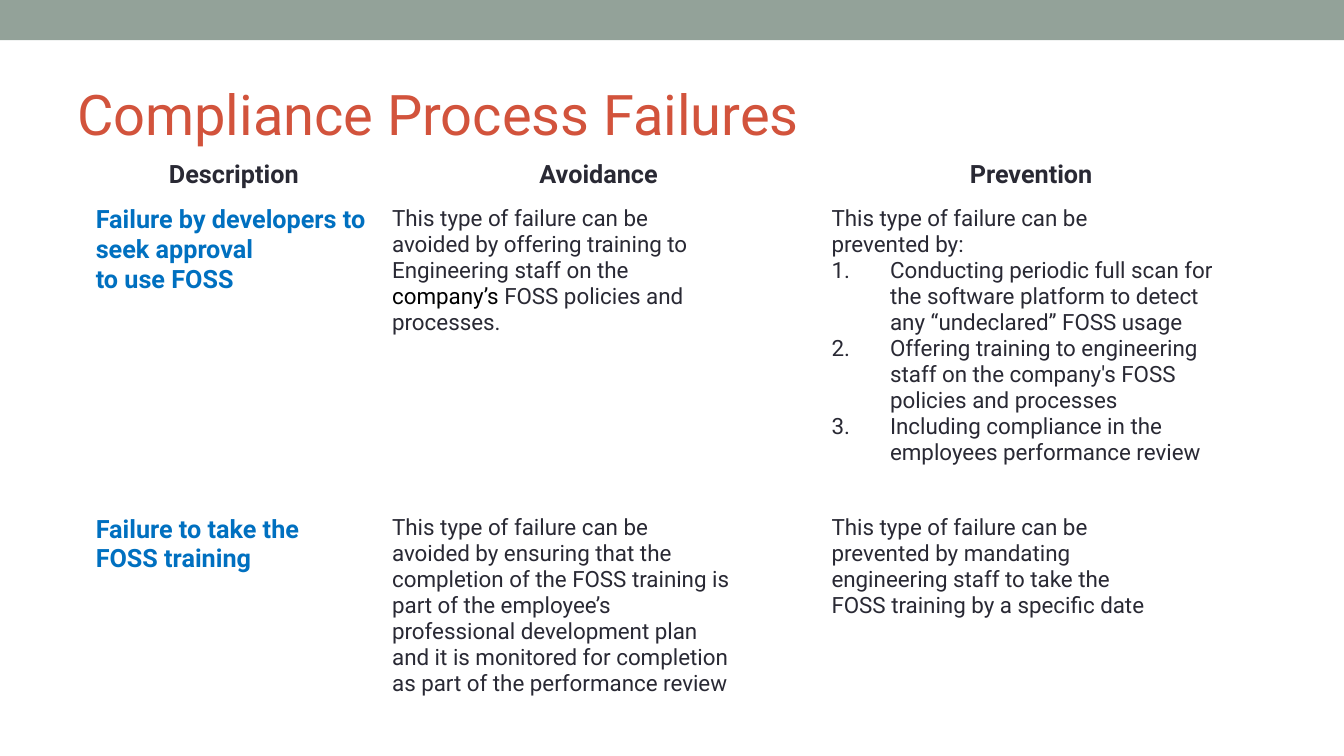
from lxml import etree
from pptx import Presentation
from pptx.dml.color import RGBColor
from pptx.enum.shapes import MSO_SHAPE
from pptx.enum.text import MSO_ANCHOR, PP_ALIGN
from pptx.oxml.ns import qn
from pptx.util import Pt

RECTANGLE = MSO_SHAPE.RECTANGLE
MIDDLE = MSO_ANCHOR.MIDDLE
CENTER = PP_ALIGN.CENTER

FONT = "Roboto"
WHITE, BLACK, INK = "FFFFFF", "000000", "292934"
SAGE, RUST, BLUE = "93A299", "D2533C", "0070C0"

COLUMN_WIDTHS = (211.7, 313.9, 299.5)
ROW_HEIGHTS = (32.4, 221, 157)
HANG, LIST_HANG = 27, 41.8

HEADINGS = ("Description", "Avoidance ", "Prevention")

# Each failure: description, avoidance, prevention, numbered prevention steps
FAILURES = (
    (
        ["Failure by developers to seek approval", "to use FOSS"],
        ["This type of failure can be", "avoided by offering training to",
         "Engineering staff on the",
         [("company’s ", BLACK), ("FOSS policies and", INK)], "processes."],
        ["This type of failure can be", "prevented by:"],
        ["Conducting periodic full scan for the software platform to detect "
         "any “undeclared” FOSS usage",
         "Offering training to engineering staff on the company's FOSS "
         "policies and processes",
         "Including compliance in the employees performance review"],
    ),
    (
        ["Failure to take the", "FOSS training"],
        ["This type of failure can be", "avoided by ensuring that the",
         "completion of the FOSS training is", "part of the employee’s",
         "professional development plan",
         "and it is monitored for completion",
         "as part of the performance review"],
        ["This type of failure can be", "prevented by mandating",
         "engineering staff to take the", "FOSS training by a specific date"],
        [],
    ),
)


def rgb(color):
    return RGBColor.from_string(color)


def write(frame, text, size=16, color=INK, bold=False, align=None,
          hang=0, numbered=False):
    """Add a paragraph; text is a string or a list of (string, colour)."""
    first = frame.paragraphs[0]
    paragraph = frame.add_paragraph() if first.runs else first
    if align is not None:
        paragraph.alignment = align
    properties = paragraph._p.get_or_add_pPr()
    if hang:
        properties.set("marL", str(Pt(hang)))
        properties.set("indent", str(-Pt(hang)))
    if numbered:
        number_color = etree.SubElement(properties, qn("a:buClr"))
        etree.SubElement(number_color, qn("a:srgbClr"), val=color)
        etree.SubElement(properties, qn("a:buAutoNum"), type="arabicPeriod")
    for piece, piece_color in [(text, color)] if isinstance(text, str) else text:
        run = paragraph.add_run()
        run.text = piece
        run.font.name = FONT
        run.font.size = Pt(size)
        run.font.bold = bold
        run.font.color.rgb = rgb(piece_color)


def add_band(slide):
    band = slide.shapes.add_shape(RECTANGLE, 0, 0, Pt(960), Pt(28.8))
    band.shadow.inherit = False
    band.fill.solid()
    band.fill.fore_color.rgb = rgb(SAGE)
    band.line.fill.background()


def add_title(slide, title):
    frame = slide.shapes.add_textbox(Pt(48), Pt(42), Pt(864), Pt(78)).text_frame
    frame.word_wrap = True
    frame.vertical_anchor = MIDDLE
    write(frame, title, size=40, color=RUST)


def style_cell(cell):
    properties = cell._tc.get_or_add_tcPr()
    for side in ("lnL", "lnR", "lnT", "lnB"):
        border = etree.SubElement(properties, qn(f"a:{side}"), w=str(Pt(0.06)))
        fill = etree.SubElement(border, qn("a:solidFill"))
        etree.SubElement(fill, qn("a:srgbClr"), val=WHITE)
    cell.fill.solid()
    cell.fill.fore_color.rgb = rgb(WHITE)


def add_failure_table(slide):
    table = slide.shapes.add_table(
        len(ROW_HEIGHTS), len(COLUMN_WIDTHS), Pt(61.2), Pt(110.9),
        Pt(sum(COLUMN_WIDTHS)), Pt(sum(ROW_HEIGHTS))).table
    table.first_row = table.horz_banding = False
    for column, width in zip(table.columns, COLUMN_WIDTHS):
        column.width = Pt(width)
    for row, height in zip(table.rows, ROW_HEIGHTS):
        row.height = Pt(height)
    for cell in table.iter_cells():
        style_cell(cell)

    # Heading row
    for index, heading in enumerate(HEADINGS):
        write(table.cell(0, index).text_frame, heading, size=18, bold=True,
              align=CENTER, hang=HANG)

    # One row per failure
    for index, failure in enumerate(FAILURES, start=1):
        description, avoidance, prevention, steps = failure
        frames = [table.cell(index, c).text_frame for c in range(3)]
        for line in description:
            write(frames[0], line, size=18, color=BLUE, bold=True)
        for line in avoidance:
            write(frames[1], line, hang=HANG)
        for line in prevention:
            write(frames[2], line, hang=LIST_HANG if steps else HANG)
        for step in steps:
            write(frames[2], step, hang=LIST_HANG, numbered=True)


def main():
    deck = Presentation()
    deck.slide_width, deck.slide_height = Pt(960), Pt(540)
    slide = deck.slides.add_slide(deck.slide_layouts[6])
    add_band(slide)
    add_title(slide, "Compliance Process Failures")
    add_failure_table(slide)
    deck.save("out.pptx")


if __name__ == "__main__":
    main()
